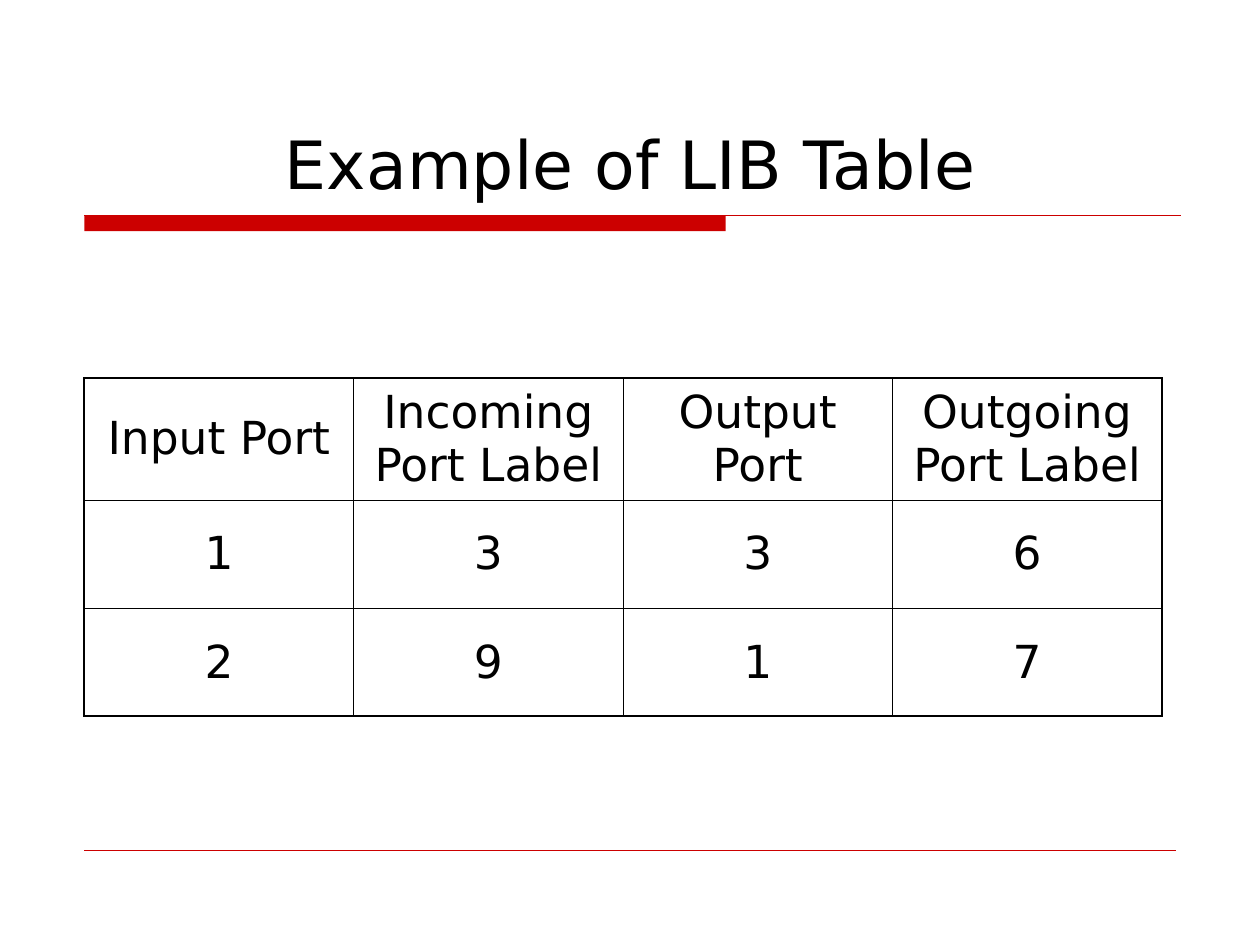
from lxml.etree import SubElement
from pptx import Presentation
from pptx.dml.color import RGBColor
from pptx.enum.shapes import MSO_CONNECTOR, MSO_SHAPE
from pptx.enum.text import MSO_ANCHOR, PP_ALIGN
from pptx.oxml import parse_xml
from pptx.oxml.ns import nsdecls, qn
from pptx.util import Cm, Pt

COLORS = {"ink": "000000", "accent": "CC0000"}
FONT = "DejaVu Sans"
LEFT = 1.7
HEADS = ["Input Port", "Incoming Port Label", "Output Port", "Outgoing Port Label"]
ROWS = [HEADS, ["1", "3", "3", "6"], ["2", "9", "1", "7"]]


def color(name):
    return RGBColor.from_string(COLORS[name])


def write(frame, text, size, align=PP_ALIGN.CENTER, ink="ink"):
    para = frame.paragraphs[0]
    para.alignment = align
    run = para.add_run()
    run.text = text
    run.font.name = FONT
    run.font.size = Pt(size)
    run.font.color.rgb = color(ink)


def edge(cell, sides):
    """Set cell borders from (side, points) pairs, in the order L, R, T, B."""
    props = cell._tc.get_or_add_tcPr()
    for spot, (side, width) in enumerate(sides):
        props.insert(spot, parse_xml(
            f'<a:ln{side} {nsdecls("a")} w="{Pt(width)}"><a:solidFill>'
            f'<a:srgbClr val="{COLORS["ink"]}"/></a:solidFill></a:ln{side}>'))


class Painter:
    def __init__(self, slide):
        self.slide = slide
        self.shapes = slide.shapes

    def title(self, text, x, y, w, h, size=38):
        box = self.shapes.add_textbox(Cm(x), Cm(y), Cm(w), Cm(h))
        frame = box.text_frame
        frame.word_wrap = True
        frame.vertical_anchor = MSO_ANCHOR.BOTTOM
        write(frame, text, size)

    def bar(self, x, y, w, h):
        bar = self.shapes.add_shape(MSO_SHAPE.RECTANGLE, Cm(x), Cm(y), Cm(w), Cm(h))
        bar.shadow.inherit = False
        bar.fill.solid()
        bar.fill.fore_color.rgb = color("accent")
        bar.line.fill.background()

    def rule(self, start, end, y, width):
        line = self.shapes.add_connector(
            MSO_CONNECTOR.STRAIGHT, Cm(start), Cm(y), Cm(end), Cm(y))
        line.line.color.rgb = color("accent")
        line.line.width = Pt(width)
        SubElement(line._element.spPr, qn("a:effectLst"))

    def table(self, rows, x, y, col, heights, size=26, thin=0.45, thick=1.08):
        """Draw a grid with thin inner lines and a thick frame."""
        wide, tall = len(rows[0]), len(rows)
        grid = self.shapes.add_table(
            tall, wide, Cm(x), Cm(y), Cm(col * wide), Cm(sum(heights))).table
        grid.first_row = grid.horz_banding = False
        for column in grid.columns:
            column.width = Cm(col)
        for r, texts in enumerate(rows):
            grid.rows[r].height = Cm(heights[r])
            for c, text in enumerate(texts):
                cell = grid.cell(r, c)
                cell.fill.background()
                cell.vertical_anchor = MSO_ANCHOR.MIDDLE
                write(cell.text_frame, text, size)
                outer = {"L": c == 0, "R": c == wide - 1,
                         "T": r == 0, "B": r == tall - 1}
                edge(cell, [(side, thick if out else thin)
                            for side, out in outer.items()])


def main():
    deck = Presentation()
    deck.slide_width, deck.slide_height = Cm(25.4), Cm(19.05)
    art = Painter(deck.slides.add_slide(deck.slide_layouts[6]))
    art.bar(LEFT, 4.34, 12.93, 0.32)
    art.rule(LEFT, 23.8, 4.34, 0.75)
    art.rule(LEFT, 23.7, 17.15, 0.25)
    art.title("Example of LIB Table", 1.6, 0.84, 22.22, 3.38)
    art.table(ROWS, LEFT, 7.62, 5.43, [2.46, 2.18, 2.18])
    deck.save("out.pptx")


if __name__ == "__main__":
    main()
